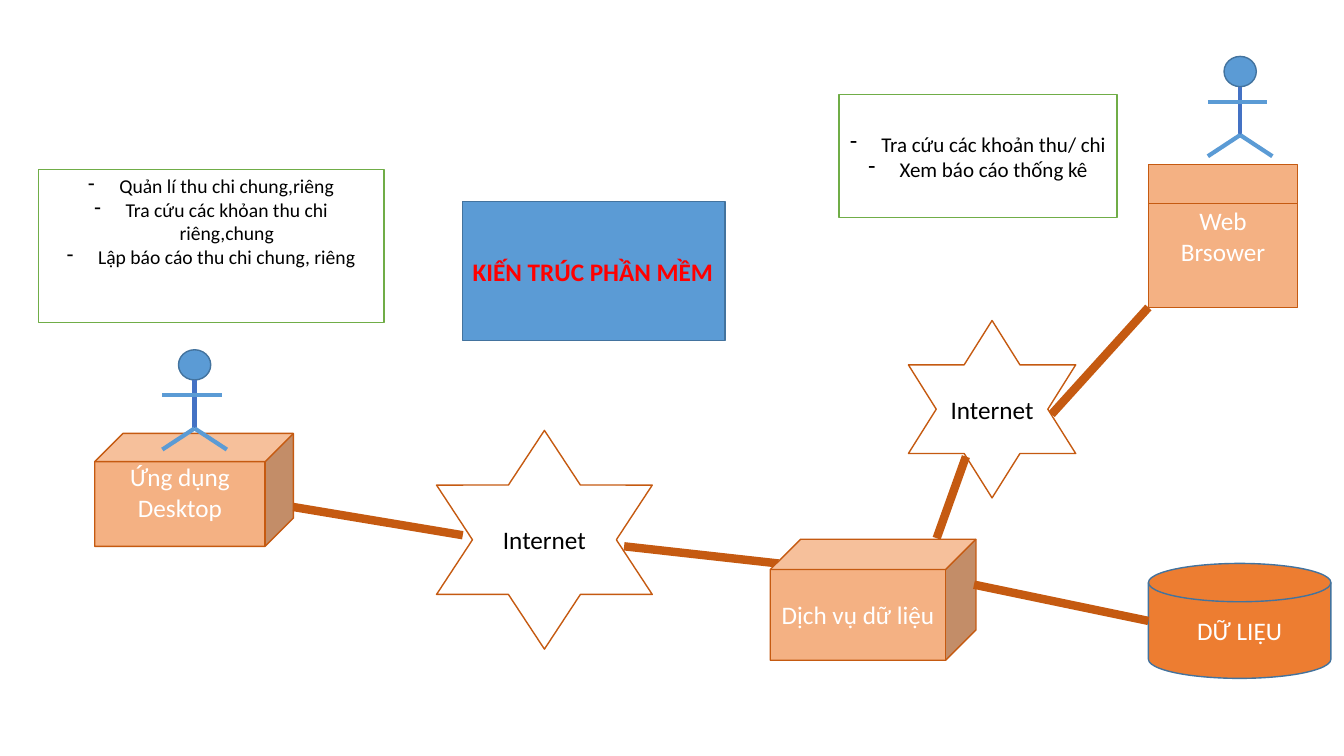
from lxml import etree
from pptx import Presentation
from pptx.dml.color import RGBColor
from pptx.enum.shapes import MSO_CONNECTOR, MSO_SHAPE
from pptx.enum.text import MSO_ANCHOR, PP_ALIGN
from pptx.oxml.ns import qn
from pptx.util import Inches, Pt

WHITE = RGBColor(0xFF, 0xFF, 0xFF)
BLACK = RGBColor(0x00, 0x00, 0x00)
RED = RGBColor(0xFF, 0x00, 0x00)
PEACH = RGBColor(0xF4, 0xB1, 0x83)
ORANGE = RGBColor(0xED, 0x7D, 0x31)
RUST = RGBColor(0xC5, 0x5A, 0x11)
GREEN = RGBColor(0x70, 0xAD, 0x47)
BLUE = RGBColor(0x5B, 0x9B, 0xD5)
DARK_BLUE = RGBColor(0x43, 0x73, 0x9E)
BODY_BLUE = RGBColor(0x44, 0x72, 0xC4)


def add_node(page, kind, box, fill, outline, lines=(), color=WHITE, size=18):
    """Outlined shape with one centred paragraph per line of text."""
    node = page.shapes.add_shape(kind, *[Inches(length) for length in box])
    node.shadow.inherit = False
    node.fill.solid()
    node.fill.fore_color.rgb = fill
    node.line.color.rgb = outline
    node.line.width = Pt(1)
    frame = node.text_frame
    frame.word_wrap = True
    frame.vertical_anchor = MSO_ANCHOR.MIDDLE
    for index, line in enumerate(lines):
        para = frame.add_paragraph() if index else frame.paragraphs[0]
        para.text = line
        para.alignment = PP_ALIGN.CENTER
        para.font.name = "Calibri"
        para.font.size = Pt(size)
        para.font.color.rgb = color
    return node


def add_line(page, start, end, color=RUST, width=6):
    line = page.shapes.add_connector(
        MSO_CONNECTOR.STRAIGHT, *[Inches(length) for length in (*start, *end)])
    line.line.color.rgb = color
    line.line.width = Pt(width)
    etree.SubElement(line._element.spPr, qn("a:effectLst"))


def add_task_list(page, box, tasks, size):
    """Green-edged box with dash bullets."""
    panel = add_node(page, MSO_SHAPE.RECTANGLE, box, WHITE, GREEN, tasks, BLACK, size)
    for para in panel.text_frame.paragraphs:
        properties = para._p.get_or_add_pPr()
        properties.set("marL", str(Inches(0.31)))
        properties.set("indent", str(-Inches(0.31)))
        etree.SubElement(properties, qn("a:buFontTx"))
        etree.SubElement(properties, qn("a:buChar")).set("char", "-")
        # Bullet settings belong before the default run properties
        defaults = properties.find(qn("a:defRPr"))
        if defaults is not None:
            properties.append(defaults)
    return panel


def add_user(page, left, top):
    """Stick figure 0.64 wide and 0.99 high."""
    middle = left + 0.32
    add_node(page, MSO_SHAPE.FLOWCHART_CONNECTOR, (left + 0.16, top, 0.32, 0.3),
             BLUE, DARK_BLUE)
    hip = (middle, top + 0.78)
    add_line(page, (middle, top + 0.3), hip, BODY_BLUE, 3)
    add_line(page, (left, top + 0.45), (left + 0.59, top + 0.45), BLUE, 3)
    for foot in (left, left + 0.64):
        add_line(page, hip, (foot, top + 0.99), BLUE, 3)


def add_browser(page, box):
    """Window with a title bar line."""
    left, top, width, _ = box
    add_node(page, MSO_SHAPE.RECTANGLE, box, PEACH, RUST, ["Web Brsower"])
    add_line(page, (left, top + 0.39), (left + width, top + 0.39), RUST, 0.5)


def add_title(page, box):
    title = add_node(page, MSO_SHAPE.RECTANGLE, box, BLUE, DARK_BLUE,
                     ["KIẾN TRÚC PHẦN MỀM"], RED)
    para = title.text_frame.paragraphs[0]
    para.alignment = PP_ALIGN.LEFT
    para.font.bold = True


def add_desktop(page, box):
    cube = add_node(page, MSO_SHAPE.CUBE, box, PEACH, RUST, ["Ứng dụng Desktop"])
    cube.text_frame.vertical_anchor = MSO_ANCHOR.TOP
    cube.text_frame.margin_top = 0


def add_internet(page, box):
    add_node(page, MSO_SHAPE.STAR_6_POINT, box, WHITE, RUST, ["Internet"], BLACK)


def build_architecture(page):
    # Clients' tasks and the web client
    add_browser(page, (11.39, 1.63, 1.48, 1.42))
    add_task_list(page, (8.32, 0.94, 2.76, 1.22),
                  ["Tra cứu các khoản thu/ chi", "Xem báo cáo thống kê"], 15)
    add_user(page, 11.98, 0.56)
    desktop_tasks = add_task_list(
        page, (0.38, 1.68, 3.43, 1.52),
        ["Quản lí thu chi chung,riêng", "Tra cứu các khỏan thu chi riêng,chung",
         "Lập báo cáo thu chi chung, riêng"], 14)
    desktop_tasks.text_frame.vertical_anchor = MSO_ANCHOR.TOP

    # Network, data service and desktop client
    add_internet(page, (4.33, 4.27, 2.14, 2.17))
    add_line(page, (10.43, 4.11), (11.39, 3.05))
    add_line(page, (6.19, 5.42), (7.72, 5.59))
    add_node(page, MSO_SHAPE.CUBE, (7.64, 5.35, 2.04, 1.2), PEACH, RUST,
             ["Dịch vụ dữ liệu"])
    add_title(page, (4.59, 2, 2.6, 1.38))
    add_desktop(page, (0.94, 4.3, 1.97, 1.12))
    add_user(page, 1.61, 3.47)
    add_line(page, (2.91, 5.03), (4.59, 5.31))

    # Second network and the data store
    add_internet(page, (9.01, 3.18, 1.66, 1.76))
    add_line(page, (9.29, 5.34), (9.58, 4.53))
    add_node(page, MSO_SHAPE.FLOWCHART_MAGNETIC_DISK, (11.39, 5.59, 1.81, 1.14),
             ORANGE, DARK_BLUE, ["DỮ LIỆU"])
    add_line(page, (9.66, 5.8), (11.39, 6.16))


def main():
    deck = Presentation()
    deck.slide_width = Inches(13.33)
    deck.slide_height = Inches(7.5)
    build_architecture(deck.slides.add_slide(deck.slide_layouts[6]))
    deck.save("out.pptx")


if __name__ == "__main__":
    main()
